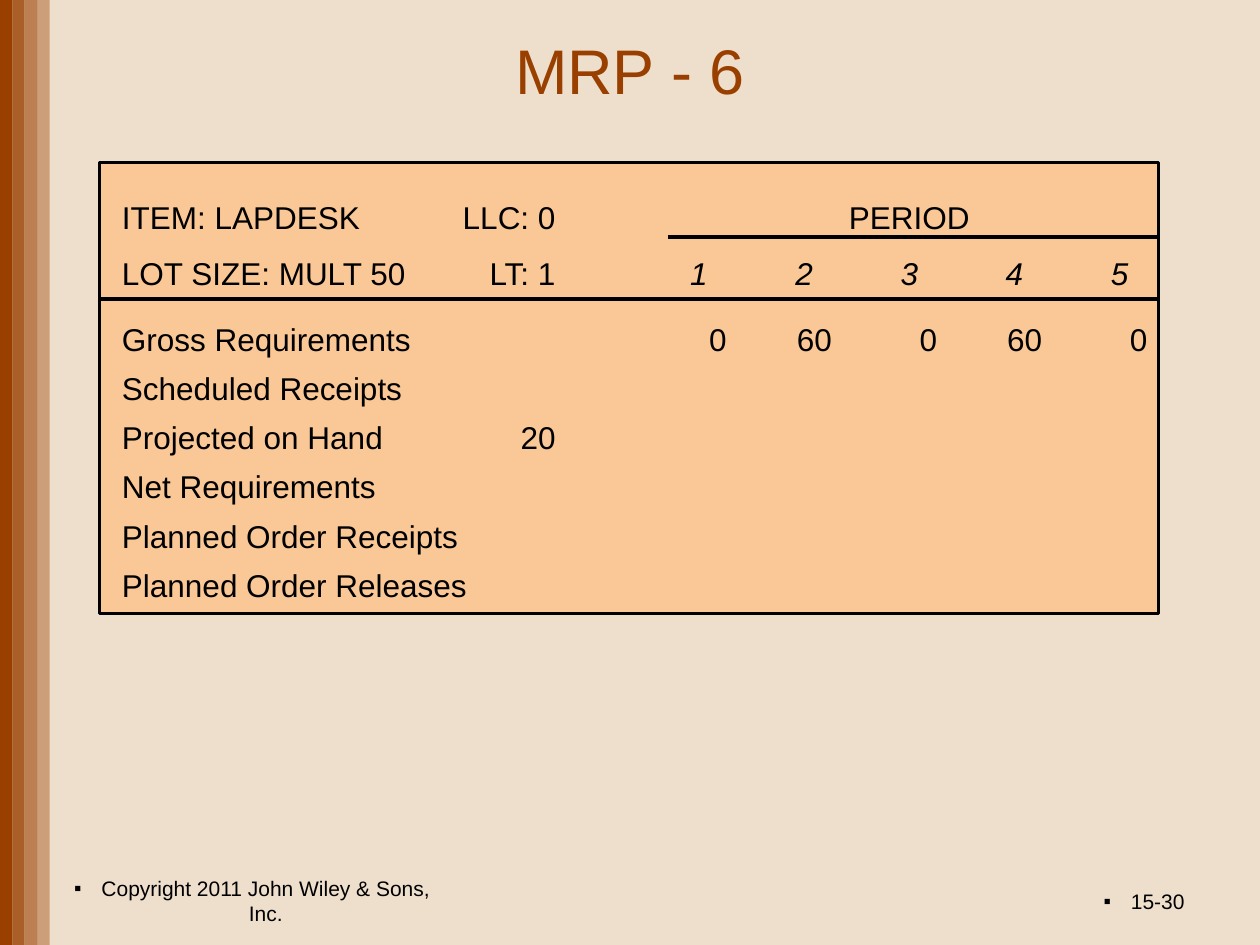
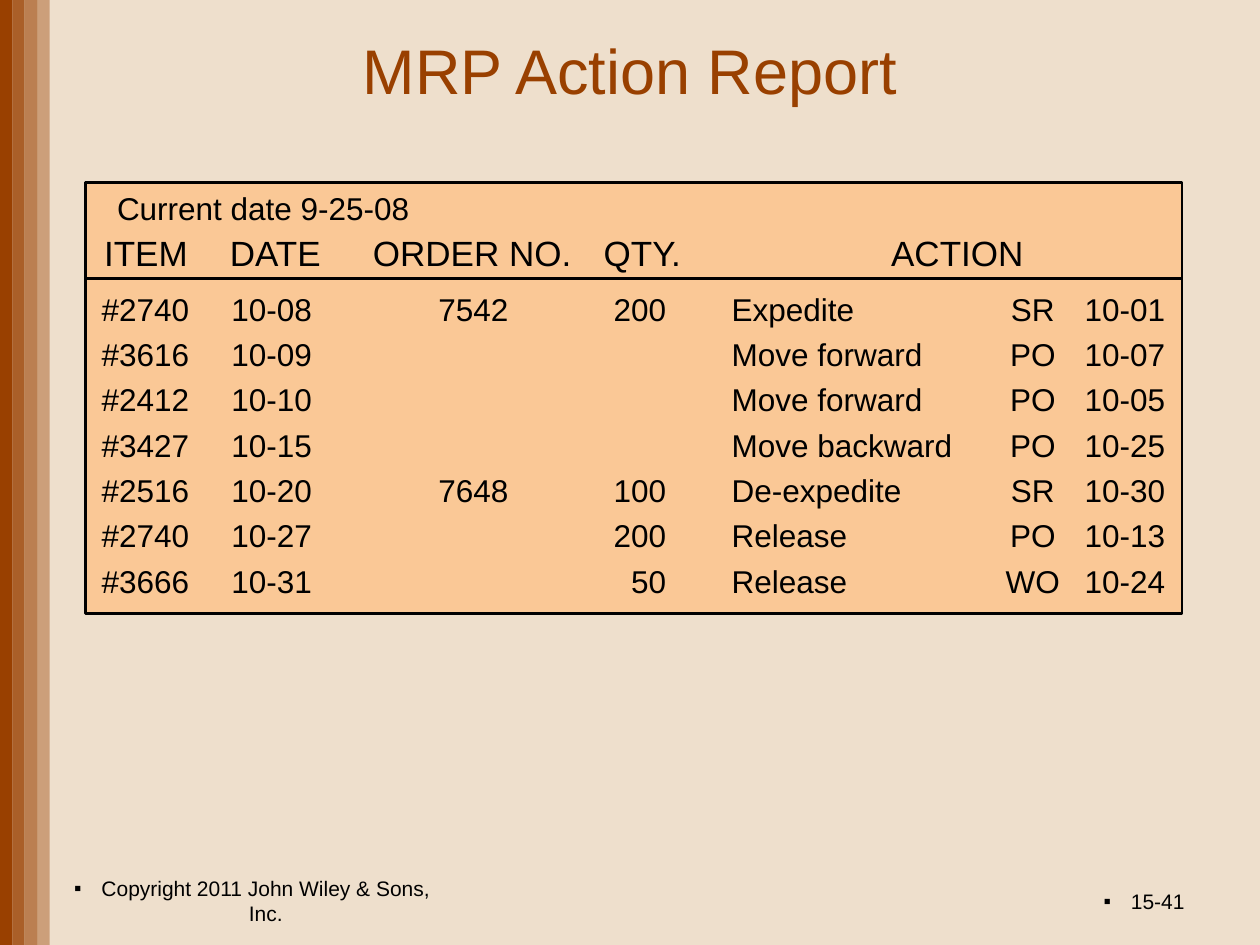
import pptx
import pptx.util
import pptx.dml.color
import pptx.enum.shapes
import pptx.enum.text
import pptx.oxml.ns
from dataclasses import dataclass
from lxml import etree

Cm = pptx.util.Cm
Pt = pptx.util.Pt
ALIGN = pptx.enum.text.PP_ALIGN
ANCHOR = pptx.enum.text.MSO_ANCHOR


@dataclass(frozen=True)
class Theme:
    back: str = "EEDFCC"
    brand: str = "994000"
    panel: str = "FAC896"
    ink: str = "000000"
    font: str = "Arial"
    title: int = 36
    head: int = 20
    body: int = 18
    foot: int = 12
    thin: float = 1.5
    thick: float = 2.25


def color(code):
    return pptx.dml.color.RGBColor.from_string(code)


def child(parent, tag, **attrs):
    node = etree.SubElement(parent, pptx.oxml.ns.qn(tag))
    for key, value in attrs.items():
        node.set(key, str(value))
    return node


class Deck:
    def __init__(self, theme):
        self.theme = theme
        self.show = pptx.Presentation()
        self.show.slide_width, self.show.slide_height = Cm(25.4), Cm(19.05)
        self.slide = None

    # Shared frame of every slide
    def start(self, title, number):
        look = self.theme
        self.slide = self.show.slides.add_slide(self.show.slide_layouts[6])
        fill = self.slide.background.fill
        fill.solid()
        fill.fore_color.rgb = color(look.back)
        for step in range(4):
            self.band(0.25 * step, 100 - 20 * step)
        self.text(2.5, 0.3, 20.4, 2.2, [title], size=look.title, tint=look.brand,
                  align=ALIGN.CENTER, anchor=ANCHOR.MIDDLE)
        self.text(1.02, 17.65, 8.13, 1.02, ["Copyright 2011 John Wiley & Sons, Inc."],
                  size=look.foot, align=ALIGN.CENTER, anchor=ANCHOR.MIDDLE, bullet=True)
        self.text(18.21, 17.65, 5.92, 1.02, [number], size=look.foot,
                  align=ALIGN.RIGHT, anchor=ANCHOR.MIDDLE, bullet=True)

    def rect(self, left, top, width, height, fill):
        shape = self.slide.shapes.add_shape(
            pptx.enum.shapes.MSO_SHAPE.RECTANGLE, Cm(left), Cm(top), Cm(width), Cm(height))
        shape.shadow.inherit = False
        shape.fill.solid()
        shape.fill.fore_color.rgb = color(fill)
        return shape

    def band(self, left, alpha):
        shape = self.rect(left, 0, 0.25, 19.05, self.theme.brand)
        shape.line.fill.background()
        if alpha < 100:
            tint = shape.fill._xPr.find(".//" + pptx.oxml.ns.qn("a:srgbClr"))
            child(tint, "a:alpha", val=alpha * 1000)

    def panel(self, left, top, width, height):
        shape = self.rect(left, top, width, height, self.theme.panel)
        self.stroke(shape.line, self.theme.thin)

    def stroke(self, line, weight):
        line.color.rgb = color(self.theme.ink)
        line.width = Pt(weight)

    def rule(self, left, right, top, weight):
        line = self.slide.shapes.add_connector(
            pptx.enum.shapes.MSO_CONNECTOR.STRAIGHT, Cm(left), Cm(top), Cm(right), Cm(top))
        self.stroke(line.line, weight)
        child(line._element.spPr, "a:effectLst")

    # A line is a string, or a pair of plain and italic text
    def text(self, left, top, width, height, lines, size, tint=None, align=ALIGN.LEFT,
             anchor=ANCHOR.TOP, space=None, tabs=(), bullet=False):
        box = self.slide.shapes.add_textbox(Cm(left), Cm(top), Cm(width), Cm(height))
        frame = box.text_frame
        frame.word_wrap = True
        frame.vertical_anchor = anchor
        for index, line in enumerate(lines):
            para = frame.paragraphs[0] if index == 0 else frame.add_paragraph()
            plain, slant = (line, "") if isinstance(line, str) else line
            para.add_run().text = plain
            if slant:
                run = para.add_run()
                run.text = slant
                run.font.italic = True
            props = para._p.get_or_add_pPr()
            if bullet:
                props.set("marL", str(Cm(0.55)))
                props.set("indent", str(-Cm(0.55)))
                child(props, "a:buFont", typeface=self.theme.font)
                child(props, "a:buChar", char="▪")
            if tabs:
                stops = child(props, "a:tabLst")
                for place, kind in tabs:
                    child(stops, "a:tab", pos=int(Cm(place)), algn=kind)
            para.alignment = align
            if space:
                para.line_spacing = space
            para.font.name = self.theme.font
            para.font.size = Pt(size)
            para.font.color.rgb = color(tint or self.theme.ink)


def plan(deck):
    look = deck.theme
    deck.start("MRP - 6", "15-30")
    deck.panel(2.01, 3.28, 21.34, 9.09)
    deck.rule(2.03, 23.37, 6.02, look.thick)
    deck.rule(13.46, 23.37, 4.78, look.thick)

    # Item data and period heads
    first, pitch = (8.74, "r"), 2.12
    heads = [first] + [(11.63 + pitch * i, "ctr") for i in range(5)]
    deck.text(2.21, 3.48, 21.34, 2.41,
              ["ITEM: LAPDESK\tLLC: 0\t\t\tPERIOD",
               ("LOT SIZE: MULT 50\tLT: 1\t", "1\t2\t3\t4\t5")],
              size=look.body, space=1.5, tabs=heads)

    # Plan rows
    cells = [first] + [(12.19 + pitch * i, "r") for i in range(5)]
    deck.text(2.21, 6.1, 21.49, 6.2,
              ["Gross Requirements\t\t0\t60\t0\t60\t0", "Scheduled Receipts",
               "Projected on Hand\t20", "Net Requirements",
               "Planned Order Receipts", "Planned Order Releases"],
              size=look.body, space=1.3, tabs=cells)


def report(deck):
    look = deck.theme
    deck.start("MRP Action Report", "15-41")
    deck.panel(1.73, 3.68, 22.1, 8.69)

    # Date and column heads
    deck.text(2.11, 3.68, 7.6, 1.02, ["Current date 9-25-08"], size=look.body)
    heads = [(place, "ctr") for place in (3.45, 7.42, 10.85, 17.2)]
    deck.text(1.85, 4.54, 22.05, 1.1, ["ITEM\tDATE\tORDER NO.\tQTY.\tACTION"],
              size=look.head, tabs=heads)
    deck.rule(1.73, 23.83, 5.61, look.thin)

    # Action rows: item, date, order, quantity, action, kind, new date
    rows = [
        ("#2740", "10-08", "7542", "200", "Expedite", "SR", "10-01"),
        ("#3616", "10-09", "", "", "Move forward", "PO", "10-07"),
        ("#2412", "10-10", "", "", "Move forward", "PO", "10-05"),
        ("#3427", "10-15", "", "", "Move backward", "PO", "10-25"),
        ("#2516", "10-20", "7648", "100", "De-expedite", "SR", "10-30"),
        ("#2740", "10-27", "", "200", "Release", "PO", "10-13"),
        ("#3666", "10-31", "", "50", "Release", "WO", "10-24"),
    ]
    cells = [(4.24, "r"), (8.2, "r"), (11.38, "r"), (12.7, "l"), (18.77, "ctr"), (21.44, "r")]
    deck.text(1.8, 5.56, 22.5, 6.68, ["\t".join(row) for row in rows],
              size=look.body, space=1.2, tabs=cells)


def main():
    deck = Deck(Theme())
    plan(deck)
    report(deck)
    deck.show.save("out.pptx")


if __name__ == "__main__":
    main()
